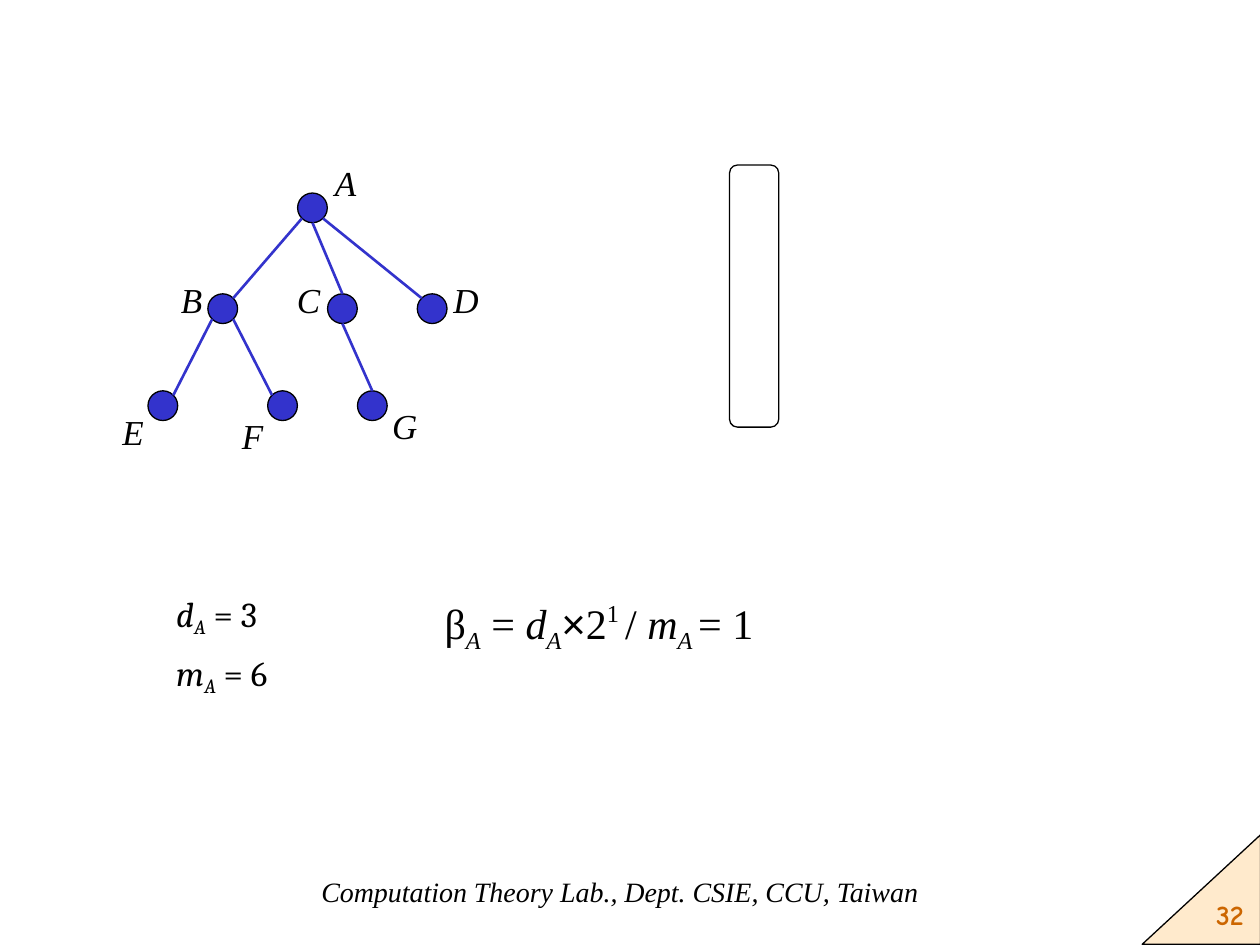
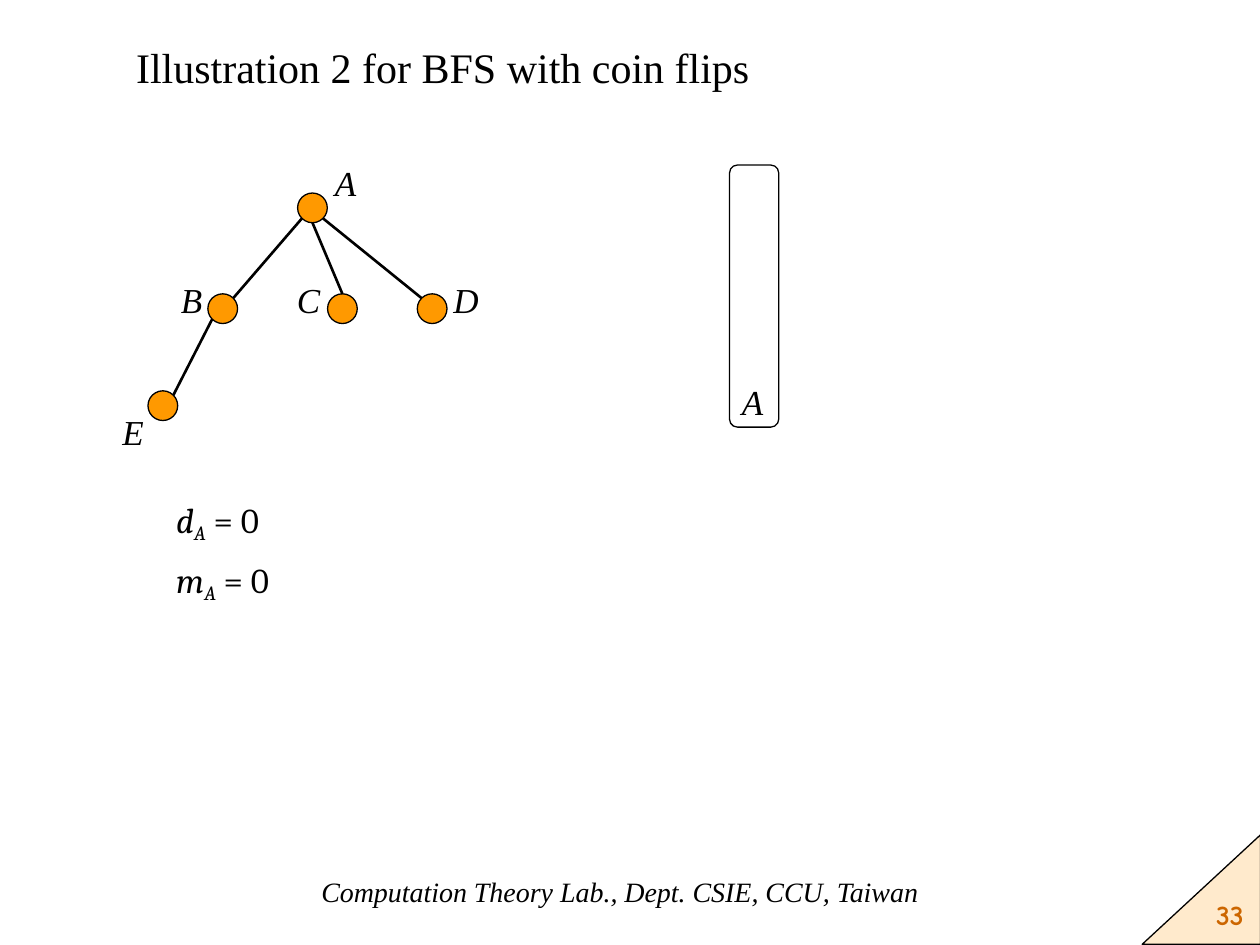
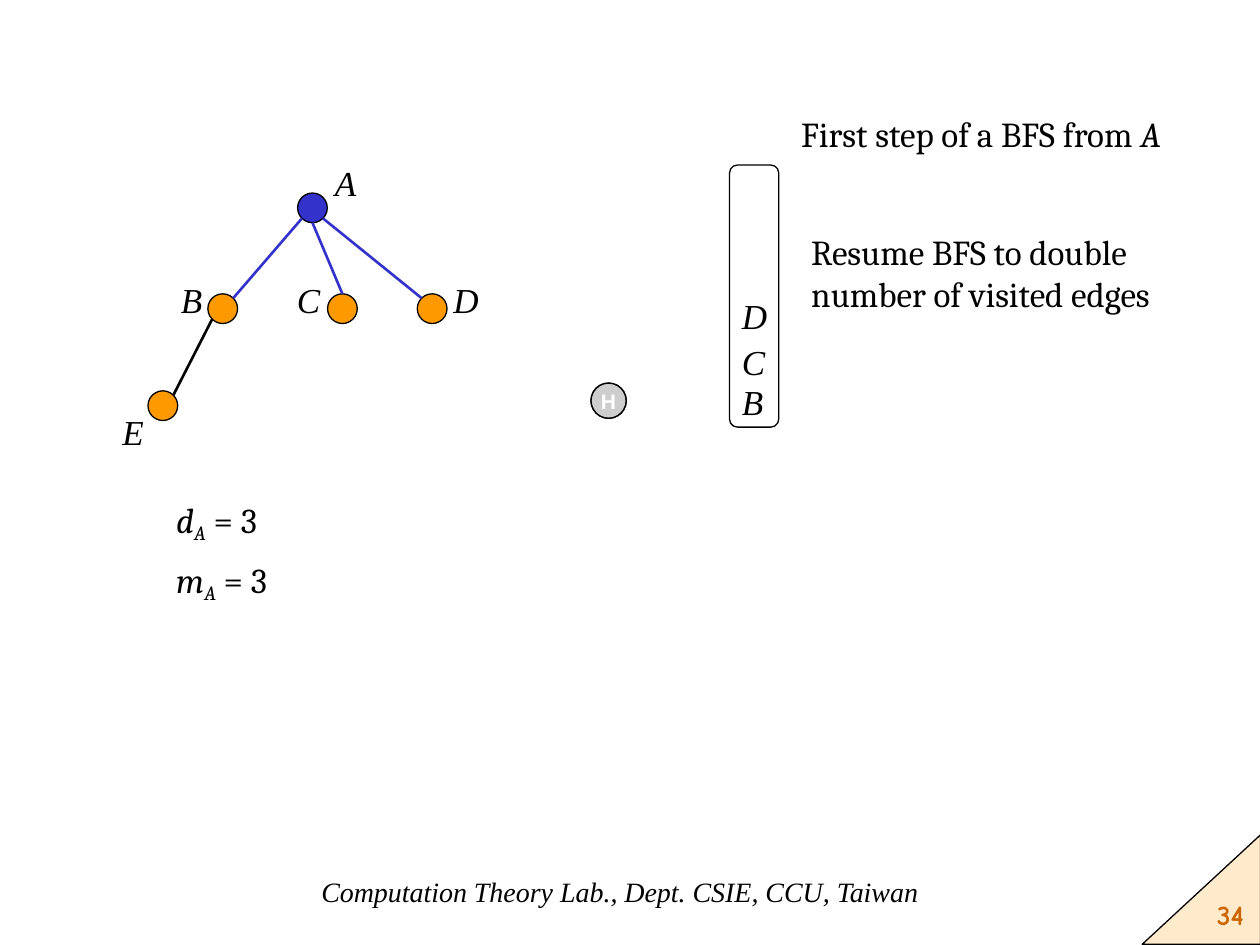
from math import sqrt

from lxml import etree
from pptx import Presentation
from pptx.dml.color import RGBColor
from pptx.enum.shapes import MSO_CONNECTOR, MSO_SHAPE
from pptx.enum.text import MSO_ANCHOR, MSO_AUTO_SIZE, PP_ALIGN
from pptx.oxml.ns import qn
from pptx.util import Inches, Pt

STRAIGHT = MSO_CONNECTOR.STRAIGHT
ELLIPSE = MSO_SHAPE.OVAL
ROUNDED = MSO_SHAPE.ROUNDED_RECTANGLE
RIGHT_TRIANGLE = MSO_SHAPE.RIGHT_TRIANGLE
LEFT, CENTER, RIGHT = PP_ALIGN.LEFT, PP_ALIGN.CENTER, PP_ALIGN.RIGHT
TOP, MIDDLE = MSO_ANCHOR.TOP, MSO_ANCHOR.MIDDLE
FIXED, GROW = MSO_AUTO_SIZE.NONE, MSO_AUTO_SIZE.SHAPE_TO_FIT_TEXT

CELL = Inches(0.1)
TITLE_ONLY, BLANK = 5, 6

BLACK, WHITE = "000000", "FFFFFF"
VISITED, WAITING = "3333CC", "FF9900"
COIN_GREY, NUMBER_BROWN = "B2B2B2", "CC6600"
SERIF, BODY, SANS, ROUND = "Times New Roman", "Cambria", "Arial", "Comic Neue"
FOOTER = "Computation Theory Lab., Dept. CSIE, CCU, Taiwan"

ROOT_X = 24.8
TREE_COLUMN = 9.5 / 4
TREE_ROWS = (16.5, 24.5, 32.2)
RADIUS = 1.18
NODES = {
    "A": (0, 0, 0.8, -4.2),
    "B": (-3, 1, -4.3, -2.9),
    "C": (1, 1, -4.6, -2.9),
    "D": (4, 1, 0.7, -2.9),
    "E": (-5, 2, -4.2, -0.1),
    "F": (-1, 2, -4.2, 0.2),
    "G": (2, 2, 0.6, -0.6),
}
EDGE_LEANS = {"AB": -1, "AC": 0, "AD": 1, "BE": -1, "BF": 1, "CG": 0}

QUEUE_LEFT, QUEUE_WIDTH = 57.9, 3.9
QUEUE_SLOTS = (29.7, 26.5, 22.9)

ITALIC = {"italic": True}
SUBSCRIPT = {"italic": True, "baseline": -25}


def cells(*lengths):
    return [round(length * CELL) for length in lengths]


def color(hex_text):
    return RGBColor.from_string(hex_text)


def style_run(run, font, size, ink=BLACK, bold=False, italic=False, baseline=0):
    run.font.name = font
    run.font.size = Pt(size)
    run.font.color.rgb = color(ink)
    run.font.bold = bold
    run.font.italic = italic
    if baseline:
        run.font._element.set("baseline", str(baseline * 1000))


def write(frame, parts, align=LEFT, **base):
    paragraph = frame.paragraphs[0]
    paragraph.alignment = align
    for words, changes in parts:
        run = paragraph.add_run()
        run.text = words
        style_run(run, **{**base, **changes})


def add_text(slide, box, parts, font=SERIF, size=20, align=LEFT, fit=GROW, **style):
    frame = slide.shapes.add_textbox(*cells(*box)).text_frame
    frame.word_wrap = True
    frame.auto_size = fit
    write(frame, parts, align, font=font, size=size, **style)


def add_figure(slide, kind, box, fill=None, opacity=100):
    figure = slide.shapes.add_shape(kind, *cells(*box))
    figure.shadow.inherit = False
    figure.line.color.rgb = color(BLACK)
    figure.line.width = Pt(0.75)
    if fill is None:
        figure.fill.background()
        return figure
    figure.fill.solid()
    figure.fill.fore_color.rgb = color(fill)
    if opacity < 100:
        paint = figure._element.spPr.find(qn("a:solidFill"))[0]
        etree.SubElement(paint, qn("a:alpha")).set("val", str(opacity * 1000))
    return figure


def node_center(name):
    column, row = NODES[name][:2]
    return ROOT_X + column * TREE_COLUMN, TREE_ROWS[row]


def add_node(slide, name, fill):
    x, y = node_center(name)
    label_dx, label_dy = NODES[name][2:]
    add_figure(slide, ELLIPSE, (x - RADIUS, y - RADIUS, 2 * RADIUS, 2 * RADIUS), fill)
    add_text(slide, (x + label_dx, y + label_dy, 4.7, 4.4), [(name, ITALIC)])


def add_edge(slide, edge, ink):
    (x1, y1), (x2, y2) = map(node_center, edge)
    lean = EDGE_LEANS[edge]
    drop = RADIUS / sqrt(2) if lean else RADIUS
    side = lean * drop
    ends = cells(x1 + side, y1 + drop, x2 - side, y2 - drop)
    branch = slide.shapes.add_connector(STRAIGHT, *ends)
    branch.line.color.rgb = color(ink)
    branch.line.width = Pt(1.5)
    etree.SubElement(branch._element.spPr, qn("a:effectLst"))


def add_tree(slide, names, visited_nodes="", visited_edges=()):
    for name in names:
        add_node(slide, name, VISITED if name in visited_nodes else WAITING)
    for edge in EDGE_LEANS:
        if edge[1] in names:
            add_edge(slide, edge, VISITED if edge in visited_edges else BLACK)


def add_queue(slide, waiting=""):
    queue = add_figure(slide, ROUNDED, (QUEUE_LEFT, 13.1, QUEUE_WIDTH, 20.8))
    queue.adjustments[0] = 0.16
    for name, top in zip(waiting, QUEUE_SLOTS):
        add_text(slide, (QUEUE_LEFT, top, QUEUE_WIDTH, 4.4), [(name, ITALIC)])


def add_counts(slide, top, degree, edges):
    for row, (symbol, value) in enumerate((("d", degree), ("m", edges))):
        parts = [(symbol, ITALIC), ("A", {"italic": True, "baseline": -20}),
                 (f" = {value}", {})]
        add_text(slide, (13, top + row * 4.75, 14.2, 4.7), parts, BODY)


def add_coin(slide, face):
    box = (46.9, 30.4, 2.8, 2.8)
    add_figure(slide, ELLIPSE, box, COIN_GREY, 40)
    frame = add_figure(slide, ELLIPSE, box, COIN_GREY, 40).text_frame
    frame.word_wrap = False
    frame.vertical_anchor = MIDDLE
    write(frame, [(face, {})], CENTER, font=SANS, size=12, ink=WHITE, bold=True)


def add_title(slide, words):
    title = slide.shapes.title
    title.left, title.top, title.width, title.height = cells(9.8, 2.8, 63, 5)
    title.text_frame.auto_size = FIXED
    title.text_frame.vertical_anchor = TOP
    write(title.text_frame, [(words, {})], font=SERIF, size=24)


def add_slide(deck, number, layout=BLANK):
    slide = deck.slides.add_slide(deck.slide_layouts[layout])
    corner = add_figure(slide, RIGHT_TRIANGLE, (91, 65.9, 8.7, 9.4), WAITING, 20)
    corner.rotation = 270
    add_text(slide, (23.2, 68.9, 52, 5.2), [(FOOTER, ITALIC)], size=16,
             align=CENTER, fit=FIXED)
    add_text(slide, (92.6, 70.7, 7.1, 5.2), [(str(number), {})], ROUND, 16,
             RIGHT, FIXED, ink=NUMBER_BROWN, bold=True)
    return slide


def finished_search(deck):
    slide = add_slide(deck, 32)
    add_tree(slide, "ABCDEFG", "ABCDEFG", EDGE_LEANS)
    add_queue(slide)
    add_counts(slide, 46.5, 3, 6)
    formula = [
        ("β", {}), ("A", SUBSCRIPT), (" = ", {}),
        ("d", ITALIC), ("A", SUBSCRIPT), ("×", {"font": SANS}),
        ("2", {}), ("1 ", {"baseline": 40}), ("/ ", {}),
        ("m", ITALIC), ("A ", SUBSCRIPT), ("= 1", {}),
    ]
    add_text(slide, (34.3, 46.9, 36.2, 5.6), formula, size=24)


def second_start(deck):
    slide = add_slide(deck, 33, TITLE_ONLY)
    add_title(slide, "Illustration 2 for BFS with coin flips")
    add_tree(slide, "ABCDE")
    add_queue(slide, "A")
    add_counts(slide, 39.1, 0, 0)


def first_step(deck):
    slide = add_slide(deck, 34)
    add_tree(slide, "ABCDE", "A", ("AB", "AC", "AD"))
    add_queue(slide, "BCD")
    add_text(slide, (62.6, 8.4, 35.4, 7.7),
             [("First step of a BFS from ", {}), ("A", ITALIC)], BODY)
    add_coin(slide, "H")
    add_text(slide, (63.4, 17.8, 35.4, 7.7),
             [("Resume BFS to double number of visited edges", {})], BODY)
    add_counts(slide, 39.1, 3, 3)


def main():
    deck = Presentation()
    deck.slide_width, deck.slide_height = cells(100, 75)
    finished_search(deck)
    second_start(deck)
    first_step(deck)
    deck.save("out.pptx")


if __name__ == "__main__":
    main()
